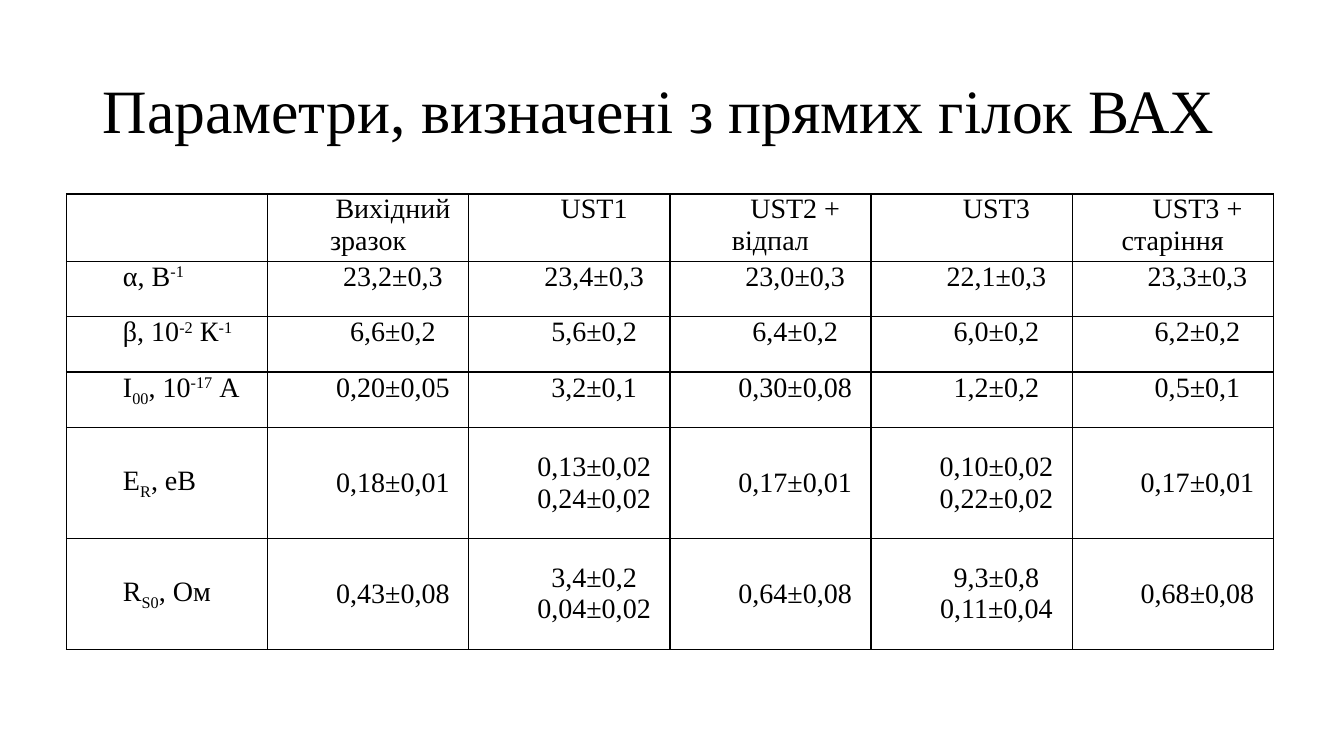
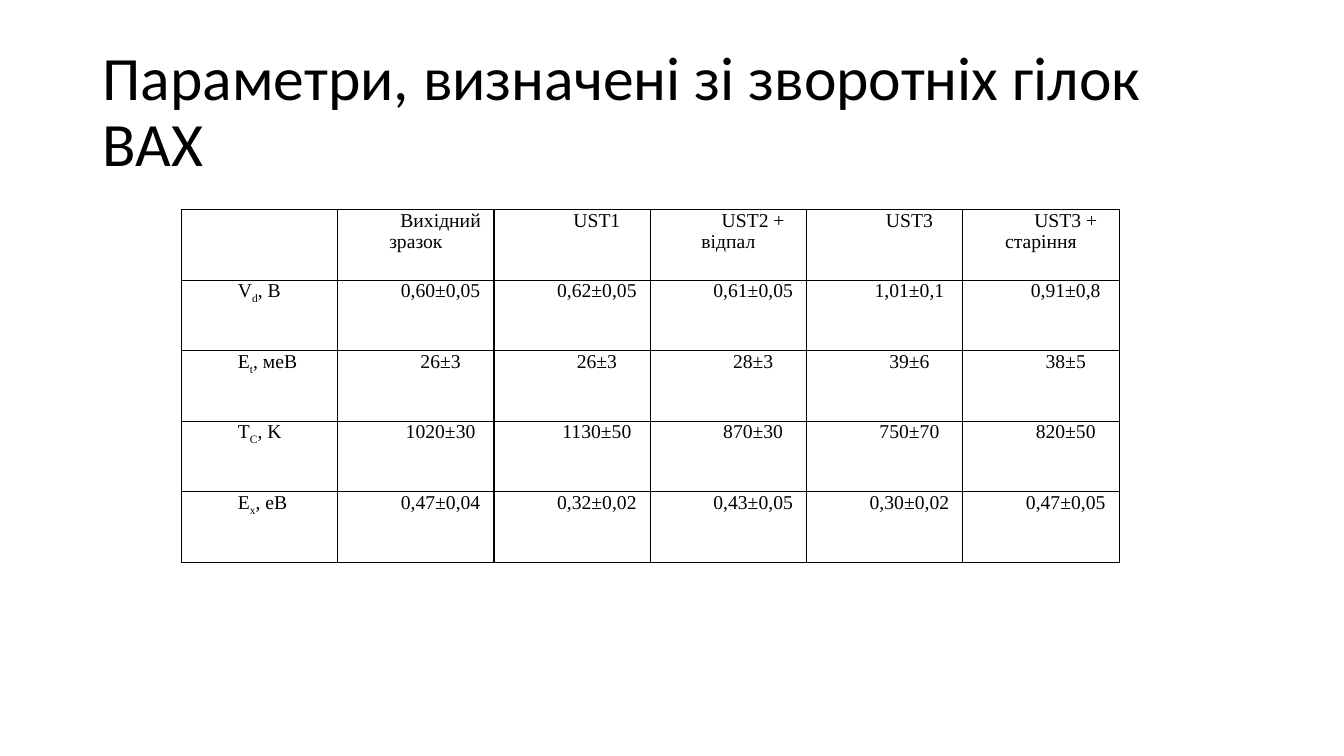
from dataclasses import dataclass

from lxml.etree import SubElement
from pptx import Presentation
from pptx.dml.color import RGBColor as Rgb
from pptx.enum.text import MSO_ANCHOR as Anchor, PP_ALIGN as Align
from pptx.oxml.ns import qn
from pptx.util import Inches, Pt


# Theme
@dataclass(frozen=True)
class Theme:
    ink: Rgb = Rgb(0, 0, 0)
    serif: str = "Times New Roman"
    sans: str = "Calibri"
    title: int = 44
    large: int = 20
    small: int = 14
    line: int = 1
    pad: float = 0.07
    indent: float = 0.49


THEME = Theme()
SHIFT = {"^": "30000", "_": "-25000"}
EDGES = ("L", "R", "T", "B")
HEAD = ("", "Вихідний зразок", "UST1", "UST2 + відпал", "UST3", "UST3 + старіння")


@dataclass(frozen=True)
class Row:
    height: float
    cells: tuple[str, ...]
    middle: bool = False


@dataclass(frozen=True)
class Page:
    title: str
    font: str
    size: int
    left: float
    top: float
    width: float
    rows: tuple[Row, ...]
    spacer: float = 0  # height of an empty merged row above the head


# Content: "|" parts runs, "^" raises and "_" lowers a run
PAGES = (
    Page("Параметри, визначені з прямих гілок ВАХ", THEME.serif, THEME.large,
         0.66, 1.59, 11.97, (
             Row(0.62, HEAD),
             Row(0.55, ("α, В|^-1", "23,2±0,3", "23,4±0,3", "23,0±0,3",
                        "22,1±0,3", "23,3±0,3")),
             Row(0.55, ("β, 10|^-2| К|^-1", "6,6±0,2", "5,6±0,2", "6,4±0,2",
                        "6,0±0,2", "6,2±0,2")),
             Row(0.55, ("І|_00|, 10|^-17| А", "0,20±0,05", "3,2±0,1", "0,30±0,08",
                        "1,2±0,2", "0,5±0,1")),
             Row(1.1, ("Е|_R|, еВ", "0,18±0,01", "0,13±0,02\n0,24±0,02", "0,17±0,01",
                       "0,10±0,02\n0,22±0,02", "0,17±0,01"), middle=True),
             Row(1.1, ("R|_S0|, Ом", "0,43±0,08", "3,4±0,2\n0,04±0,02", "0,64±0,08",
                       "9,3±0,8\n0,11±0,04", "0,68±0,08"), middle=True),
         ), spacer=0.31),
    Page("Параметри, визначені зі зворотніх гілок ВАХ", THEME.sans, THEME.small,
         1.8, 2.08, 9.3, (
             Row(0.7, HEAD),
             Row(0.7, ("V|_d|, В", "0,60±0,05", "0,62±0,05", "0,61±0,05",
                       "1,01±0,1", "0,91±0,8")),
             Row(0.7, ("E|_t|, мeB", "26±3", "26±3", "28±3", "39±6", "38±5")),
             Row(0.7, ("T|_С|, K", "1020±30", "1130±50", "870±30", "750±70", "820±50")),
             Row(0.7, ("E|_x|, eB", "0,47±0,04", "0,32±0,02", "0,43±0,05",
                       "0,30±0,02", "0,47±0,05")),
         )),
)


# Text
def write(frame, text: str, *, font: str, size: int, align=Align.LEFT,
          indent: float = 0, spacing: float | None = None) -> None:
    for i, line in enumerate(text.split("\n")):
        para = frame.add_paragraph() if i else frame.paragraphs[0]
        para.alignment = align
        para.line_spacing = spacing
        if indent:
            props = para._p.get_or_add_pPr()
            props.set("marL", "0")
            props.set("indent", str(Inches(indent)))
        if not line:
            SubElement(para._p, qn("a:endParaRPr"), sz=str(size * 100))
            continue
        for part in line.split("|"):
            shift = SHIFT.get(part[0])
            run = para.add_run()
            run.text = part[1:] if shift else part
            run.font.name = font
            run.font.size = Pt(size)
            run.font.color.rgb = THEME.ink
            if shift:
                run._r.get_or_add_rPr().set("baseline", shift)


# Table cells
def style(cell, drawn: tuple[str, ...] = EDGES) -> None:
    cell.margin_left = cell.margin_right = Inches(THEME.pad)
    cell.margin_top = cell.margin_bottom = 0
    props = cell._tc.get_or_add_tcPr()
    for edge in EDGES:
        line = SubElement(props, qn(f"a:ln{edge}"), w=str(Pt(THEME.line)))
        if edge in drawn:
            fill = SubElement(line, qn("a:solidFill"))
            SubElement(fill, qn("a:srgbClr"), val=str(THEME.ink))
        else:
            SubElement(line, qn("a:noFill"))
    cell.fill.background()


def add_grid(slide, page: Page) -> None:
    rows = page.rows
    if page.spacer:
        rows = (Row(page.spacer, ("",) * len(HEAD)),) + rows
    height = sum(row.height for row in rows)
    table = slide.shapes.add_table(
        len(rows), len(HEAD), Inches(page.left), Inches(page.top),
        Inches(page.width), Inches(height)).table
    table.first_row = table.horz_banding = False
    for col in table.columns:
        col.width = Inches(page.width / len(HEAD))
    for r, row in enumerate(rows):
        table.rows[r].height = Inches(row.height)
        space = bool(page.spacer) and r == 0
        for c, text in enumerate(row.cells):
            cell = table.cell(r, c)
            style(cell, ("B",) if space else EDGES)
            cell.vertical_anchor = Anchor.MIDDLE if row.middle else Anchor.TOP
            label = Align.LEFT if row.middle else Align.JUSTIFY
            write(cell.text_frame, text, font=THEME.serif, size=page.size,
                  align=Align.CENTER if c else label, indent=THEME.indent)
    if page.spacer:
        table.cell(0, 0).merge(table.cell(0, len(HEAD) - 1))


# Title
def add_title(slide, page: Page) -> None:
    box = slide.shapes.add_textbox(Inches(0.92), Inches(0.4), Inches(11.5), Inches(1.45))
    frame = box.text_frame
    frame.word_wrap = True
    frame.vertical_anchor = Anchor.MIDDLE
    write(frame, page.title, font=page.font, size=THEME.title, spacing=0.9)


def main() -> None:
    deck = Presentation()
    deck.slide_width, deck.slide_height = Inches(13.33), Inches(7.5)
    for page in PAGES:
        slide = deck.slides.add_slide(deck.slide_layouts[6])
        add_title(slide, page)
        add_grid(slide, page)
    deck.save("out.pptx")


if __name__ == "__main__":
    main()
